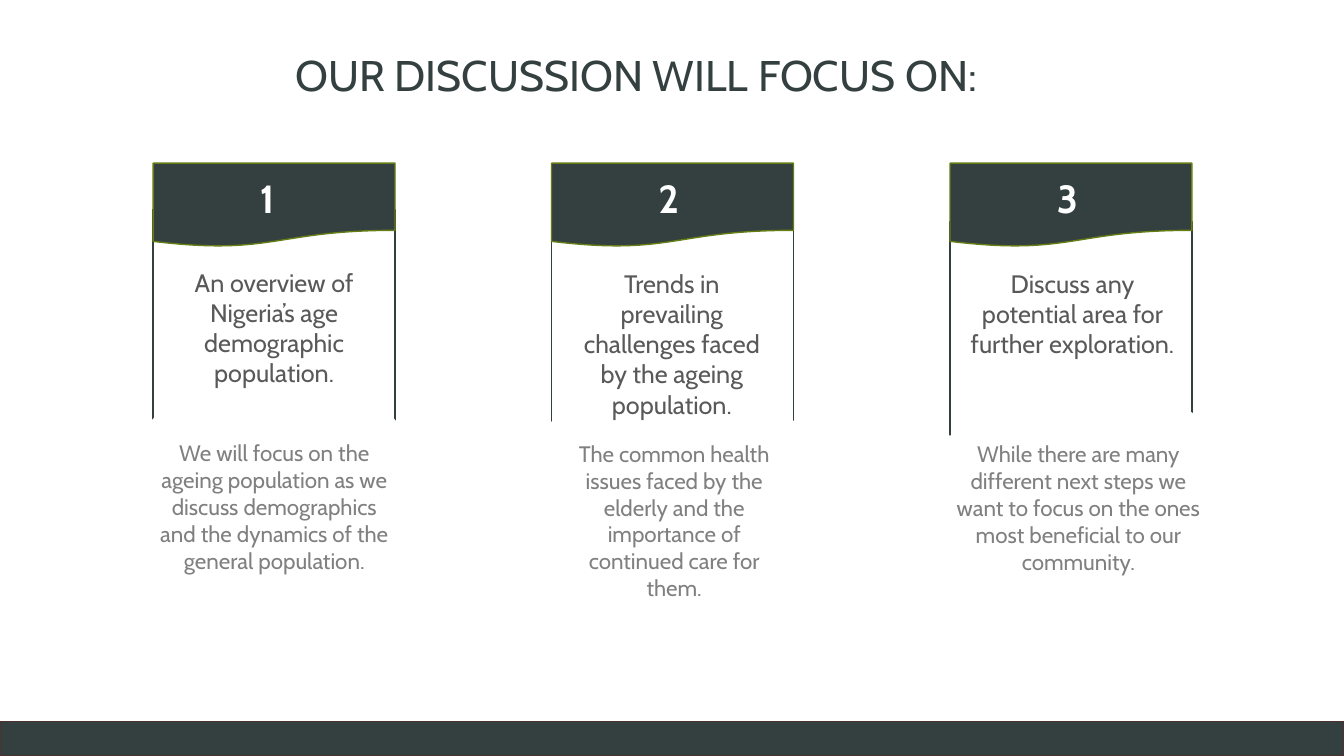
"""Build the discussion agenda slide with three numbered cards."""
from pptx import Presentation
from pptx.dml.color import RGBColor
from pptx.enum.shapes import MSO_SHAPE
from pptx.enum.text import MSO_ANCHOR, PP_ALIGN
from pptx.util import Pt

COLORS = {
    "dark": "344040",
    "olive": "647D14",
    "brown": "4C3332",
    "white": "FFFFFF",
    "heading": "595959",
    "caption": "808080",
}

presentation = Presentation()
presentation.slide_width = Pt(960)
presentation.slide_height = Pt(540)
slide = presentation.slides.add_slide(presentation.slide_layouts[6])


def add_box(kind, box, fill, line=None):
    shape = slide.shapes.add_shape(kind, *[Pt(length) for length in box])
    shape.shadow.inherit = False
    shape.fill.solid()
    shape.fill.fore_color.rgb = RGBColor.from_string(COLORS[fill])
    if line:
        shape.line.color.rgb = RGBColor.from_string(COLORS[line])
        shape.line.width = Pt(1)
    else:
        shape.line.fill.background()
    return shape


def add_text(box, text, size, color, align=PP_ALIGN.CENTER, bold=False):
    shape = slide.shapes.add_textbox(*[Pt(length) for length in box])
    text_frame = shape.text_frame
    text_frame.word_wrap = True
    text_frame.text = text
    paragraph = text_frame.paragraphs[0]
    paragraph.alignment = align
    font = paragraph.runs[0].font
    font.name = "Cabin"
    font.size = Pt(size)
    font.bold = bold
    font.color.rgb = RGBColor.from_string(COLORS[color])
    return shape


title = add_text((203.8, 20.9, 532, 54.7), "OUR DISCUSSION WILL FOCUS ON:",
                 30.6, "dark", PP_ALIGN.LEFT)
title.text_frame.vertical_anchor = MSO_ANCHOR.BOTTOM
title.text_frame.paragraphs[0].line_spacing = 0.9
add_box(MSO_SHAPE.RECTANGLE, (0, 515.5, 960, 24.5), "dark", "brown")

cards = [
    {"frame_top": 149.8, "mask": (102.2, 290.2),
     "heading_box": (109.4, 187.2, 172.8, 94.3),
     "heading": "An overview of Nigeria’s age demographic population.",
     "caption_box": (103, 310.3, 185.8, 123.8),
     "caption": "We will focus on the ageing population as we discuss "
                "demographics and the dynamics of the general population."},
    {"frame_top": 158.4, "mask": (387.4, 291.6),
     "heading_box": (400.3, 187.9, 159.1, 116.6),
     "heading": "Trends in prevailing challenges faced by the ageing population.",
     "caption_box": (393.8, 310.7, 175.7, 123.8),
     "caption": "The common health issues faced by the elderly and the "
                "importance of continued care for them."},
    {"frame_top": 158.4, "mask": (679.7, 291.6),
     "heading_box": (679.7, 187.9, 172.8, 72.7),
     "heading": "Discuss any potential area for further exploration.",
     "caption_box": (674.6, 311, 191.5, 104.4), "caption_filled": True,
     "caption": "While there are many different next steps we want to focus "
                "on the ones most beneficial to our community."},
]

for index, card in enumerate(cards):
    left = 109.4 + 284.6 * index
    add_box(MSO_SHAPE.RECTANGLE, (left, card["frame_top"], 172.8, 187.2), "white", "dark")
    add_box(MSO_SHAPE.FLOWCHART_DOCUMENT, (left, 116.6, 172.8, 59.8), "dark", "olive")
    add_box(MSO_SHAPE.FLOWCHART_ALTERNATE_PROCESS, (*card["mask"], 186.5, 163.4), "white")
    add_text((left + 69.2, 121, 34.6, 41), str(index + 1), 28, "white", PP_ALIGN.LEFT, True)
    caption = add_text(card["caption_box"], card["caption"], 16, "caption")
    if card.get("caption_filled"):
        caption.fill.solid()
        caption.fill.fore_color.rgb = RGBColor.from_string(COLORS["white"])
    add_text(card["heading_box"], card["heading"], 18, "heading")

presentation.save("out.pptx")
